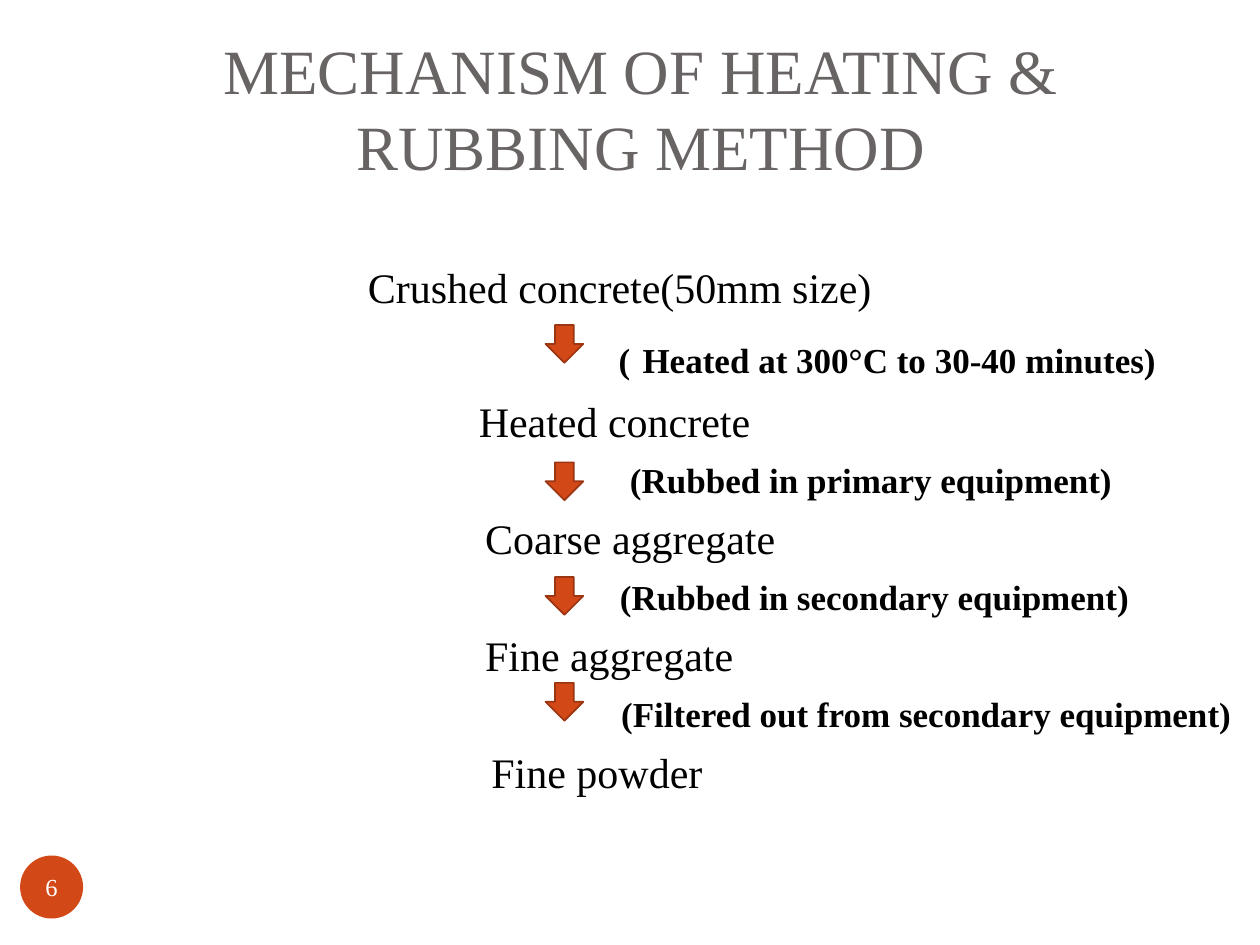
import pptx
import pptx.util
import pptx.dml.color
import pptx.enum.shapes
import pptx.enum.text

Inches, Pt = pptx.util.Inches, pptx.util.Pt
SHAPE = pptx.enum.shapes.MSO_SHAPE
ALIGN = pptx.enum.text.PP_ALIGN
ANCHOR = pptx.enum.text.MSO_ANCHOR
COLORS = {"title": "696464", "text": "000000", "accent": "D34817",
          "outline": "9C3511", "white": "FFFFFF"}


def rgb(name):
    return pptx.dml.color.RGBColor.from_string(COLORS[name])


def style(r, size, color, bold=False):
    r.font.name = "Times New Roman"
    r.font.size = Pt(size)
    r.font.bold = bold
    r.font.color.rgb = rgb(color)


prs = pptx.Presentation()
prs.slide_width, prs.slide_height = Inches(10), Inches(7.5)
s = prs.slides.add_slide(prs.slide_layouts[6])

sp = s.shapes.add_textbox(Inches(0.5), Inches(0.3), Inches(9.17), Inches(1.25))
tf = sp.text_frame
tf.word_wrap = True
tf.vertical_anchor = ANCHOR.BOTTOM
tf.margin_bottom = Inches(0.1)
tf.text = "MECHANISM OF HEATING & RUBBING METHOD"
p = tf.paragraphs[0]
p.alignment = ALIGN.CENTER
style(p.runs[0], 36, "title")

sp = s.shapes.add_shape(SHAPE.OVAL, Inches(0.16), Inches(6.79), Inches(0.5), Inches(0.5))
sp.shadow.inherit = False
sp.fill.solid()
sp.fill.fore_color.rgb = rgb("accent")
sp.line.fill.background()
tf = sp.text_frame
tf.margin_left = tf.margin_right = tf.margin_top = tf.margin_bottom = 0
tf.word_wrap = False
tf.vertical_anchor = ANCHOR.MIDDLE
tf.text = "6"
p = tf.paragraphs[0]
p.alignment = ALIGN.CENTER
style(p.runs[0], 14, "white")

steps = [
    (2.92, 24, ["Crushed concrete(50mm size)"]),
    (4.91, 20, ["(", " ", "Heated at 300°C to 30-40 minutes)"]),
    (3.8, 24, ["Heated concrete"]),
    (5, 20, ["(Rubbed in primary equipment)"]),
    (3.85, 24, ["Coarse aggregate"]),
    (4.92, 20, ["(Rubbed in secondary equipment)"]),
    (3.85, 24, ["Fine aggregate"]),
    (4.93, 20, ["(Filtered out from secondary equipment)"]),
    (3.9, 24, ["Fine powder"]),
]
sp = s.shapes.add_textbox(0, Inches(2.03), Inches(10), Inches(4.9))
tf = sp.text_frame
tf.word_wrap = True
tf.margin_left = tf.margin_right = 0
for i, (left, size, parts) in enumerate(steps):
    p = tf.paragraphs[0] if i == 0 else tf.add_paragraph()
    p.space_before = Pt(7 if i else 0)
    p._p.get_or_add_pPr().set("marL", str(Inches(left)))
    for part in parts:
        r = p.add_run()
        r.text = part
        style(r, 28 if part == " " else size, "text", size == 20)

for top in (2.58, 3.67, 4.58, 5.42):
    sp = s.shapes.add_shape(SHAPE.DOWN_ARROW, Inches(4.33), Inches(top), Inches(0.3), Inches(0.3))
    sp.shadow.inherit = False
    sp.fill.solid()
    sp.fill.fore_color.rgb = rgb("accent")
    sp.line.color.rgb = rgb("outline")
    sp.line.width = Pt(1)

prs.save("out.pptx")
